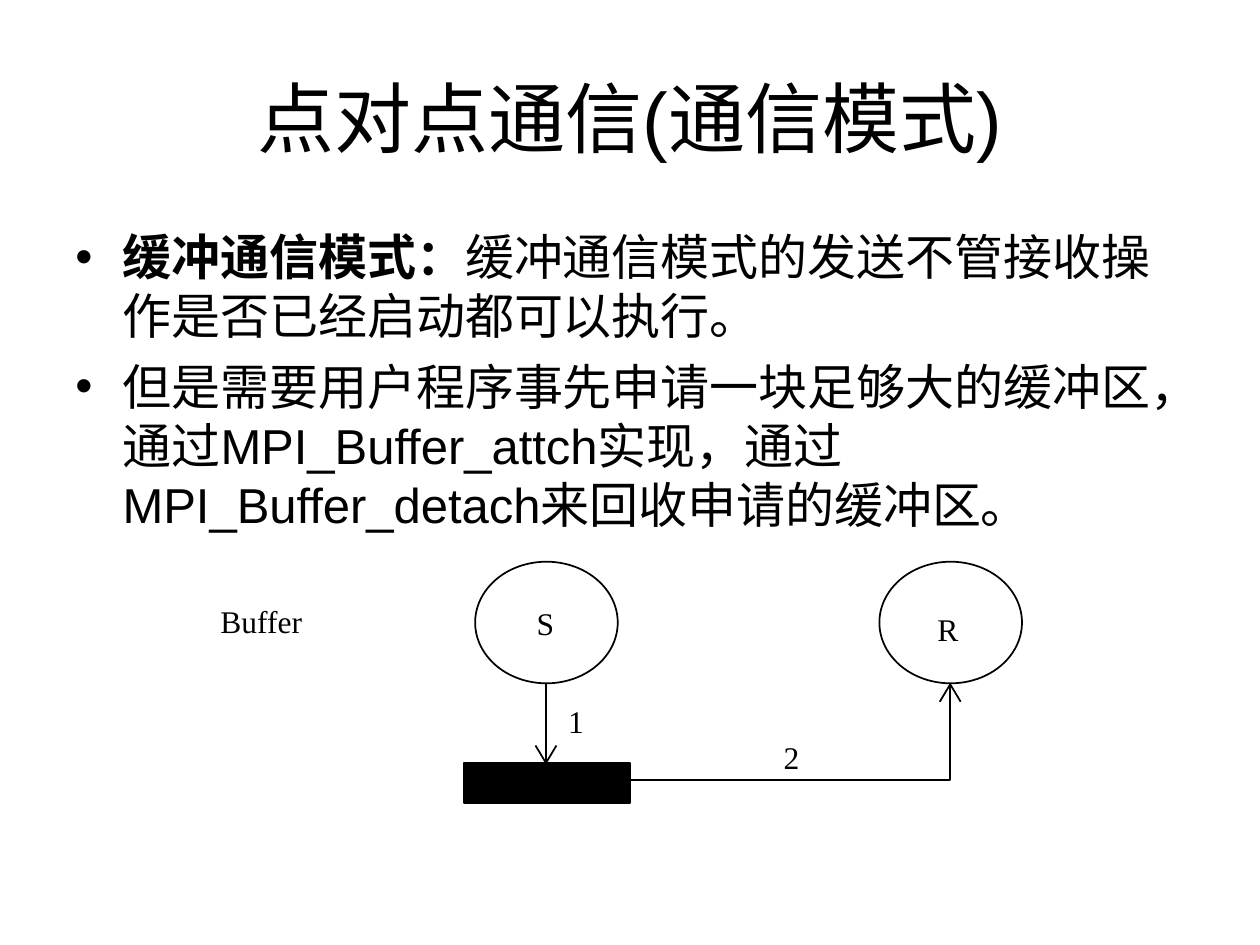
from lxml.etree import SubElement
from pptx import Presentation
from pptx.dml.color import RGBColor
from pptx.enum.shapes import MSO_CONNECTOR as CONNECTOR, MSO_SHAPE as SHAPE
from pptx.enum.text import MSO_ANCHOR as ANCHOR, PP_ALIGN as ALIGN
from pptx.oxml.ns import qn
from pptx.util import Pt

BLACK = RGBColor(0, 0, 0)

prs = Presentation()
prs.slide_width, prs.slide_height = Pt(720), Pt(540)
slide = prs.slides.add_slide(prs.slide_layouts[6])
shapes = slide.shapes


def add_run(paragraph, text, size, font_name, bold=False):
    run = paragraph.add_run()
    run.text = text
    run.font.size = Pt(size)
    run.font.name = font_name
    run.font.bold = bold
    run.font.color.rgb = BLACK


def outline(shape):
    """Give a shape a thin black line, no fill and no shadow."""
    shape.shadow.inherit = False
    shape.fill.background()
    shape.line.color.rgb = BLACK
    shape.line.width = Pt(1)


# Title
title = shapes.add_textbox(Pt(36), Pt(21.6), Pt(648), Pt(90)).text_frame
title.word_wrap = True
title.vertical_anchor = ANCHOR.MIDDLE
title.paragraphs[0].alignment = ALIGN.CENTER
add_run(title.paragraphs[0], "点对点通信(通信模式)", 44, "Arial")

# Bullets
points = [
    [("缓冲通信模式：", True), ("缓冲通信模式的发送不管接收操作是否已经启动都可以执行。", False)],
    [("但是需要用户程序事先申请一块足够大的缓冲区，通过MPI_Buffer_attch实现，"
      "通过MPI_Buffer_detach来回收申请的缓冲区。", False)],
]
body = shapes.add_textbox(Pt(36), Pt(126), Pt(648), Pt(356.4)).text_frame
body.word_wrap = True
for i, parts in enumerate(points):
    paragraph = body.add_paragraph() if i else body.paragraphs[0]
    if i:
        paragraph.space_before = Pt(7)
    properties = paragraph._p.get_or_add_pPr()
    properties.set("marL", str(Pt(27)))
    properties.set("indent", str(-Pt(27)))
    SubElement(properties, qn("a:buFont"), typeface="Arial")
    SubElement(properties, qn("a:buChar"), char="•")
    for text, bold in parts:
        add_run(paragraph, text, 28, "Arial", bold)

# Sender and receiver
for left in (271.5, 502.5):
    outline(shapes.add_shape(SHAPE.OVAL, Pt(left), Pt(321), Pt(81.5), Pt(69.5)))

# Buffer block
buffer_block = shapes.add_shape(SHAPE.RECTANGLE, Pt(265), Pt(436), Pt(95), Pt(23))
outline(buffer_block)
buffer_block.fill.solid()
buffer_block.fill.fore_color.rgb = BLACK

# Step 1: sender to buffer
send_line = shapes.add_connector(CONNECTOR.STRAIGHT, Pt(312), Pt(391), Pt(312), Pt(436))
send_line.line.color.rgb = BLACK
send_line.line.width = Pt(1)
SubElement(send_line._element.spPr, qn("a:effectLst"))

# Arrowheads, and step 2 from buffer to receiver
paths = [
    [(306, 426), (312, 436), (318, 426)],
    [(354, 445.5), (543, 445.5), (543, 391)],
    [(549, 401), (543, 391), (537, 401)],
]
for path_points in paths:
    start, *rest = [(Pt(x), Pt(y)) for x, y in path_points]
    builder = shapes.build_freeform(*start, scale=1.0)
    builder.add_line_segments(rest, close=False)
    outline(builder.convert_to_shape())

# Labels
labels = [
    ("S", 306.7, 344.9, 10),
    ("R", 535.7, 348.5, 12),
    ("Buffer", 126, 344.2, 47),
    ("1", 324.7, 401, 9),
    ("2", 447.8, 421.9, 9),
]
for text, left, top, width in labels:
    label = shapes.add_textbox(Pt(left), Pt(top), Pt(width), Pt(21.6)).text_frame
    label.margin_left = label.margin_top = label.margin_right = label.margin_bottom = 0
    label.word_wrap = False
    add_run(label.paragraphs[0], text, 18, "Times New Roman")

prs.save("out.pptx")
